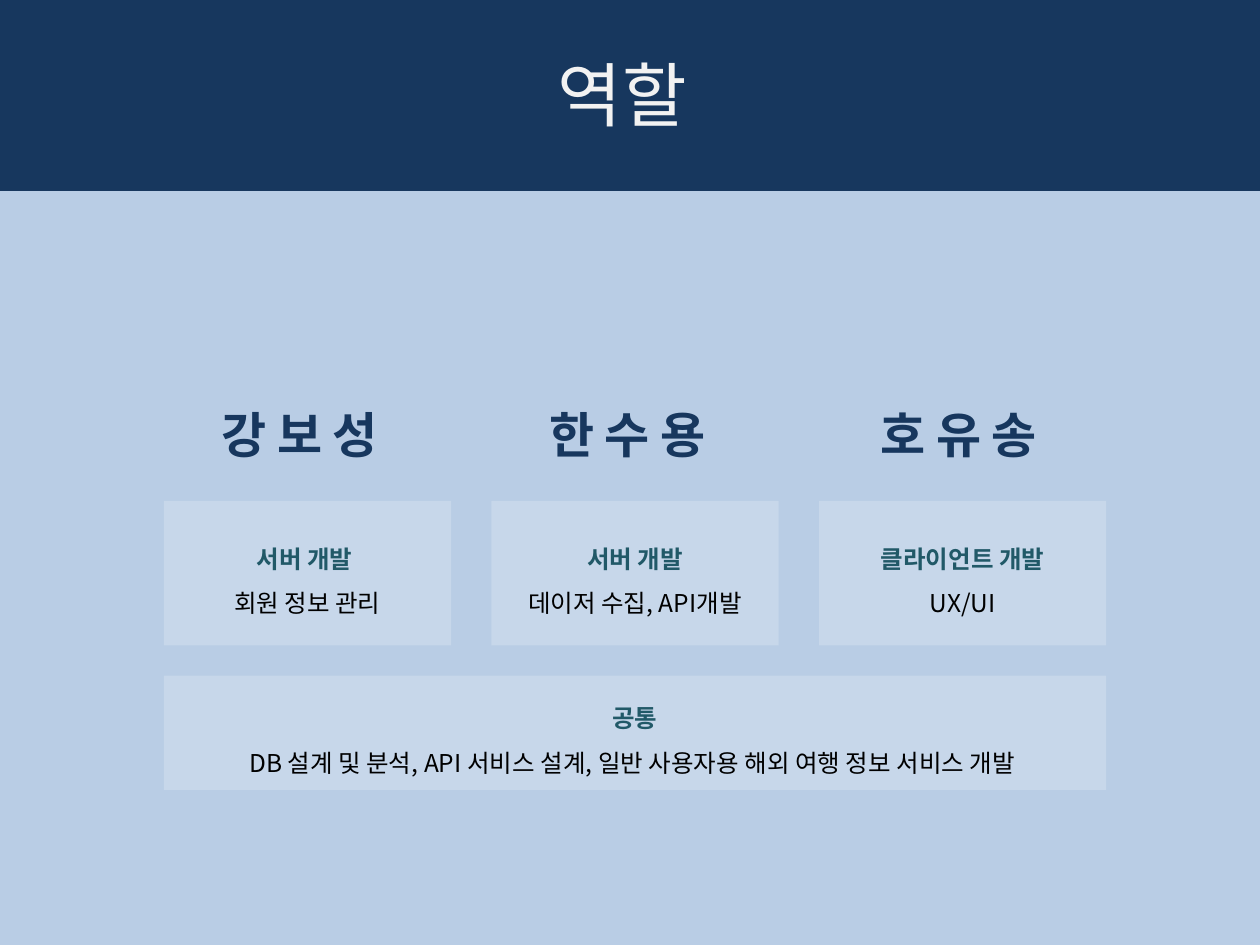
from dataclasses import dataclass

from lxml.etree import SubElement
from pptx import Presentation
from pptx.dml.color import RGBColor as RGB
from pptx.enum.shapes import MSO_SHAPE as Preset
from pptx.enum.text import MSO_ANCHOR as Anchor, PP_ALIGN as Align
from pptx.oxml.ns import qn
from pptx.util import Inches, Pt


@dataclass(frozen=True)
class Theme:
    font: str = "Noto Sans CJK KR"
    background: RGB = RGB.from_string("B9CDE5")
    navy: RGB = RGB.from_string("17375E")
    teal: RGB = RGB.from_string("215968")
    white: RGB = RGB.from_string("FFFFFF")
    off_white: RGB = RGB.from_string("F2F2F2")
    black: RGB = RGB.from_string("000000")
    title_size: int = 40
    name_size: int = 28
    body_size: int = 14
    card_opacity: int = 20


theme = Theme()
presentation = Presentation()
presentation.slide_width, presentation.slide_height = Inches(10), Inches(7.5)
slide = presentation.slides.add_slide(presentation.slide_layouts[6])
slide.background.fill.solid()
slide.background.fill.fore_color.rgb = theme.background


def add_box(area, color=None, opacity=100):
    """Add a rectangle, or a text box if no color; area is in percent of the slide."""
    left, top, width, height = area
    frame = [int(presentation.slide_width * left / 100), int(presentation.slide_height * top / 100),
             int(presentation.slide_width * width / 100), int(presentation.slide_height * height / 100)]
    if color is None:
        box = slide.shapes.add_textbox(*frame)
    else:
        box = slide.shapes.add_shape(Preset.RECTANGLE, *frame)
        box.shadow.inherit = False
        box.line.fill.background()
        box.fill.solid()
        box.fill.fore_color.rgb = color
        box.text_frame.vertical_anchor = Anchor.MIDDLE
        if opacity < 100:
            color_element = box.fill._xPr.find(qn("a:solidFill"))[0]
            SubElement(color_element, qn("a:alpha"), val=str(opacity * 1000))
    box.text_frame.word_wrap = True
    return box


def write(paragraph, text, size, color, bold=False, align=Align.CENTER):
    paragraph.text = text
    paragraph.alignment = align
    run = paragraph.runs[0]
    run.font.name = theme.font
    run.font.size = Pt(size)
    run.font.bold = bold
    run.font.color.rgb = color
    SubElement(run.font._element, qn("a:ea"), typeface=theme.font)
    return run


# Grid, in percent of the slide
card_left, card_width, column_step = 13, 22.8, 26
card_top, card_height = 53, 15.3
name_top, name_width, name_height = 42.2, 16.8, 10.67
common_top, common_height = 71.5, 12.1

band = add_box((0, -0.4, 100, 20.6), theme.navy)
write(band.text_frame.paragraphs[0], "역할 ", theme.title_size, theme.off_white)

members = [
    ("강보성", 16.6, "서버 개발 ", "회원 정보 관리"),
    ("한수용", 42.6, "서버 개발", "데이저 수집, API개발"),
    ("호유송", 68.9, "클라이언트 개발", "UX/UI"),
]
cards = []
for column, (name, name_left, role, duty) in enumerate(members):
    name_box = add_box((name_left, name_top, name_width, name_height))
    run = write(name_box.text_frame.paragraphs[0], name, theme.name_size, theme.navy, True, Align.LEFT)
    run.font._element.set("spc", "600")
    cards.append(((card_left + column * column_step, card_top, card_width, card_height), role, duty))

common_width = 2 * column_step + card_width
cards.append(((card_left, common_top, common_width, common_height), "공통",
              "DB 설계 및 분석, API 서비스 설계, 일반 사용자용 해외 여행 정보 서비스 개발 "))

for area, role, duty in cards:
    text_frame = add_box(area, theme.white, theme.card_opacity).text_frame
    write(text_frame.paragraphs[0], role, theme.body_size, theme.teal, True)
    write(text_frame.add_paragraph(), duty, theme.body_size, theme.black)
    for paragraph in text_frame.paragraphs:
        paragraph.line_spacing = 1.5

presentation.save("out.pptx")
